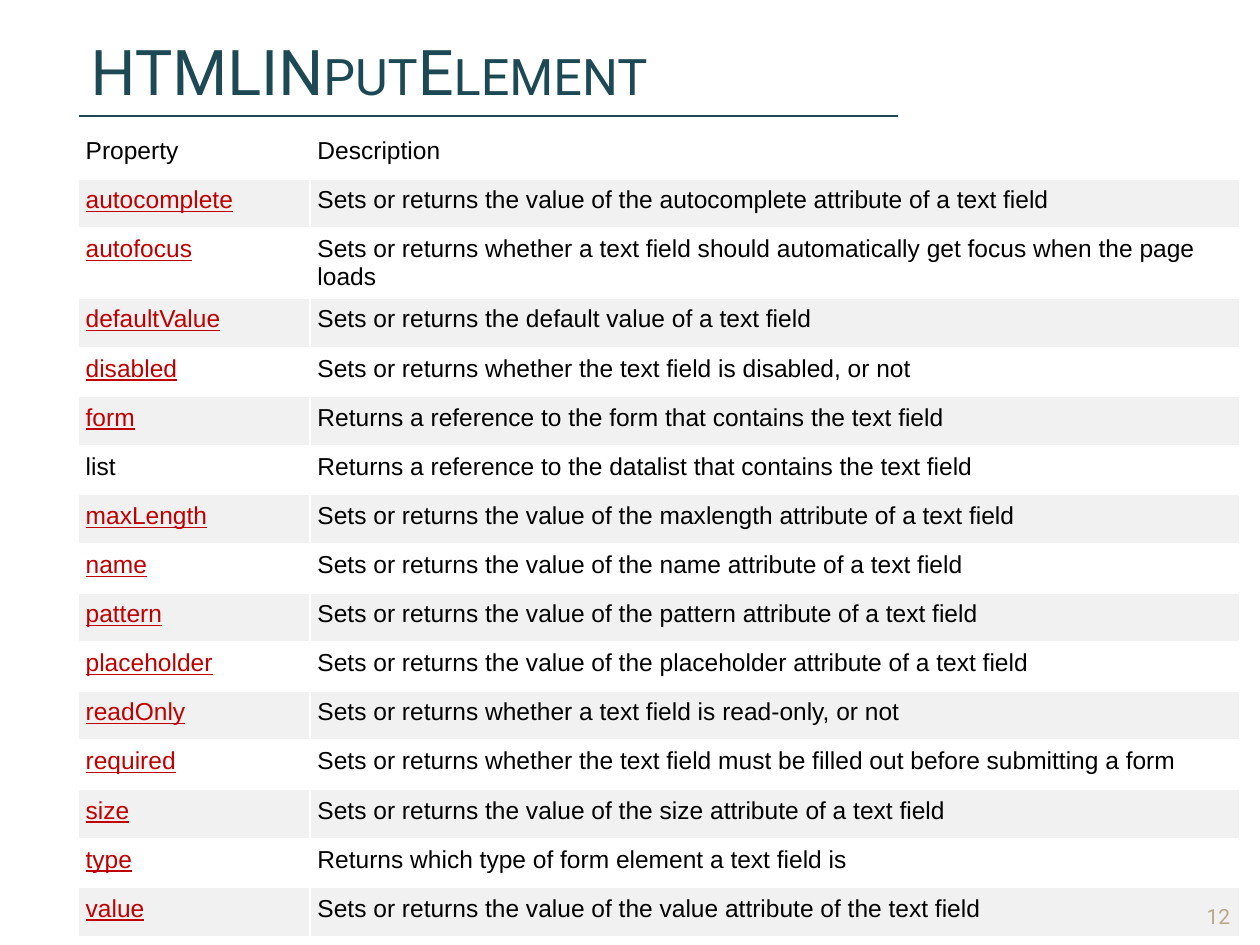
from dataclasses import dataclass

from pptx import Presentation
from pptx.dml.color import RGBColor
from pptx.enum.shapes import MSO_CONNECTOR
from pptx.enum.text import MSO_ANCHOR, MSO_AUTO_SIZE, PP_ALIGN
from pptx.oxml.ns import qn
from pptx.slide import Slide
from pptx.table import _Cell
from pptx.text.text import _Paragraph, _Run
from pptx.util import Inches, Pt
from lxml.etree import SubElement


@dataclass(frozen=True)
class Theme:
    heading_font: str = "Roboto"
    table_font: str = "Arial"
    heading: str = "1C4954"
    text: str = "000000"
    link: str = "C00000"
    page_number: str = "B6A98A"
    plain_row: str = "FFFFFF"
    shaded_row: str = "F1F1F1"
    title_size: int = 36
    table_size: int = 14
    page_number_size: int = 12
    rule_width: float = 0.75


@dataclass(frozen=True)
class Property:
    name: str
    description: str
    linked: bool = True


THEME = Theme()
COLUMN_WIDTHS = (1.84, 7.38)
ROW_HEIGHT = 0.39
CELL_INSET = 0.06

PROPERTIES = [
    Property("Property", "Description", linked=False),
    Property("autocomplete", "Sets or returns the value of the autocomplete attribute of a text field"),
    Property("autofocus", "Sets or returns whether a text field should automatically get focus when the page loads"),
    Property("defaultValue", "Sets or returns the default value of a text field"),
    Property("disabled", "Sets or returns whether the text field is disabled, or not"),
    Property("form", "Returns a reference to the form that contains the text field"),
    Property("list", "Returns a reference to the datalist that contains the text field", linked=False),
    Property("maxLength", "Sets or returns the value of the maxlength attribute of a text field"),
    Property("name", "Sets or returns the value of the name attribute of a text field"),
    Property("pattern", "Sets or returns the value of the pattern attribute of a text field"),
    Property("placeholder", "Sets or returns the value of the placeholder attribute of a text field"),
    Property("readOnly", "Sets or returns whether a text field is read-only, or not"),
    Property("required", "Sets or returns whether the text field must be filled out before submitting a form"),
    Property("size", "Sets or returns the value of the size attribute of a text field"),
    Property("type", "Returns which type of form element a text field is"),
    Property("value", "Sets or returns the value of the value attribute of the text field"),
]


def add_run(paragraph: _Paragraph, text: str, font: str, size: int, color: str) -> _Run:
    run = paragraph.add_run()
    run.text = text
    run.font.name = font
    run.font.size = Pt(size)
    run.font.color.rgb = RGBColor.from_string(color)
    return run


def add_title(slide: Slide, text: str) -> None:
    title = slide.shapes.title
    title.left, title.top = Inches(0.62), Inches(0.28)
    title.width, title.height = Inches(9.22), Inches(0.56)
    frame = title.text_frame
    frame.auto_size = MSO_AUTO_SIZE.NONE
    frame.vertical_anchor = MSO_ANCHOR.MIDDLE
    heading = frame.paragraphs[0]
    heading.alignment = PP_ALIGN.LEFT
    run = add_run(heading, text, THEME.heading_font, THEME.title_size, THEME.heading)
    run.font._element.set("cap", "small")


def add_title_rule(slide: Slide) -> None:
    rule = slide.shapes.add_connector(
        MSO_CONNECTOR.STRAIGHT, Inches(0.63), Inches(0.92), Inches(7.13), Inches(0.92)
    )
    rule.line.color.rgb = RGBColor.from_string(THEME.heading)
    rule.line.width = Pt(THEME.rule_width)
    SubElement(rule._element.spPr, qn("a:effectLst"))


def fill_cell(cell: _Cell, text: str, background: str, linked: bool = False) -> None:
    cell.fill.solid()
    cell.fill.fore_color.rgb = RGBColor.from_string(background)
    cell.margin_left = cell.margin_right = Inches(CELL_INSET)
    cell.margin_top = cell.margin_bottom = Inches(CELL_INSET)
    color = THEME.link if linked else THEME.text
    run = add_run(cell.text_frame.paragraphs[0], text, THEME.table_font, THEME.table_size, color)
    run.font.bold = False
    run.font.underline = linked


def add_property_table(slide: Slide, properties: list[Property]) -> None:
    table = slide.shapes.add_table(
        len(properties), len(COLUMN_WIDTHS), Inches(0.62), Inches(1.03),
        Inches(sum(COLUMN_WIDTHS)), Inches(ROW_HEIGHT * len(properties)),
    ).table
    table.first_row = False
    table.horz_banding = False
    for column, width in zip(table.columns, COLUMN_WIDTHS):
        column.width = Inches(width)
    for index, (row, entry) in enumerate(zip(table.rows, properties)):
        row.height = Inches(ROW_HEIGHT)
        background = THEME.shaded_row if index % 2 else THEME.plain_row
        fill_cell(row.cells[0], entry.name, background, entry.linked)
        fill_cell(row.cells[1], entry.description, background)


def add_page_number(slide: Slide, number: str) -> None:
    frame = slide.shapes.add_textbox(
        Inches(9.42), Inches(7.11), Inches(0.5), Inches(0.31)
    ).text_frame
    frame.word_wrap = True
    frame.vertical_anchor = MSO_ANCHOR.BOTTOM
    paragraph = frame.paragraphs[0]
    paragraph.alignment = PP_ALIGN.CENTER
    add_run(paragraph, number, THEME.heading_font, THEME.page_number_size, THEME.page_number)


def main() -> None:
    presentation = Presentation()
    presentation.slide_width = Inches(10)
    presentation.slide_height = Inches(7.5)
    slide = presentation.slides.add_slide(presentation.slide_layouts[5])
    add_title_rule(slide)
    add_title(slide, "HTMLINputElement")
    add_property_table(slide, PROPERTIES)
    add_page_number(slide, "12")
    presentation.save("out.pptx")


if __name__ == "__main__":
    main()
